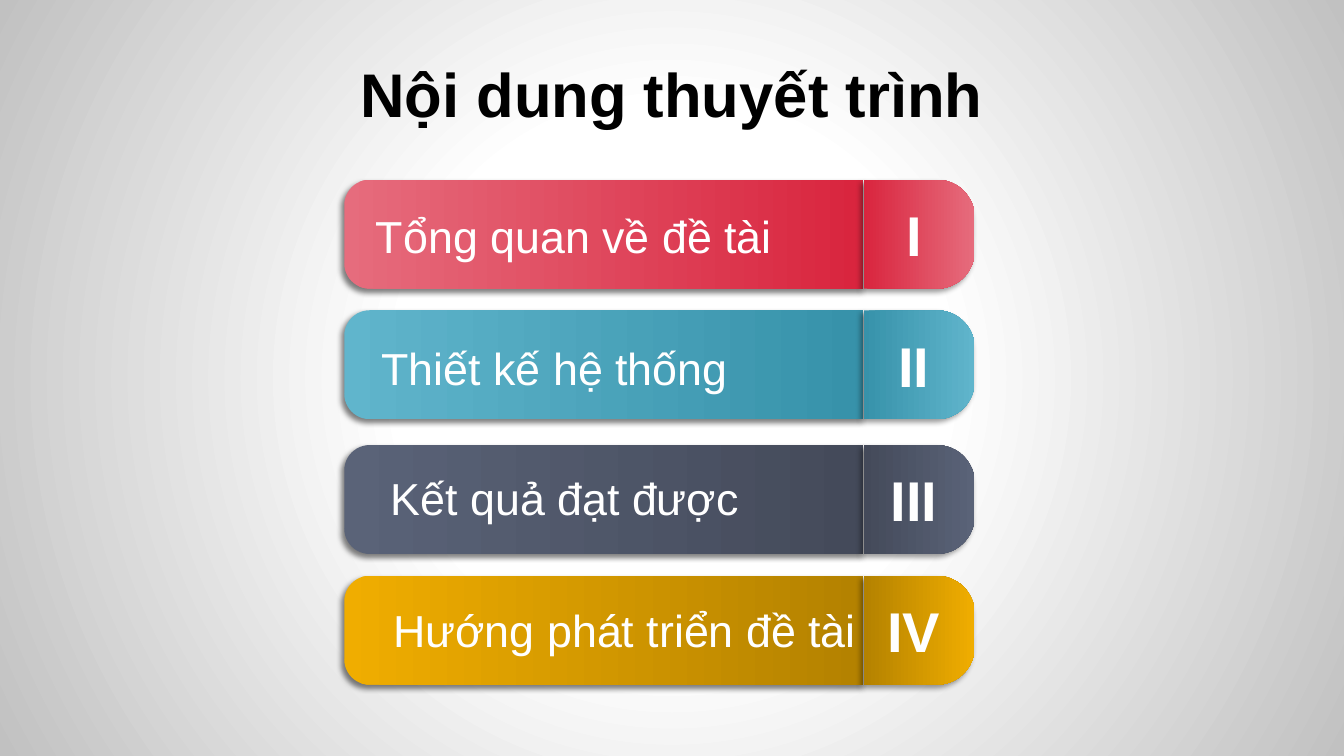
import pptx
import pptx.util
import pptx.dml.color
import pptx.enum.shapes
import pptx.enum.text
import pptx.oxml
import pptx.oxml.ns

Pt = pptx.util.Pt
NS = pptx.oxml.ns.nsdecls("a")
COLORS = {
    "white": "FFFFFF", "black": "000000", "edge": "C1C1C1",
    "red": "E66C7D", "red dark": "D9253E",
    "teal": "60B5CC", "teal dark": "3792AA",
    "slate": "5A6378", "slate dark": "444A5A",
    "gold": "F0AD00", "gold dark": "B48200",
}


def add_text(s, text, x, y, w, h, size, color, bold=False, wrap=True, middle=True):
    tf = s.shapes.add_textbox(Pt(x), Pt(y), Pt(w), Pt(h)).text_frame
    tf.word_wrap = wrap
    anchor = pptx.enum.text.MSO_ANCHOR
    tf.vertical_anchor = anchor.MIDDLE if middle else anchor.TOP
    p = tf.paragraphs[0]
    p.text = text
    p.alignment = pptx.enum.text.PP_ALIGN.CENTER
    r = p.runs[0]
    r.font.name = "Arial"
    r.font.size = Pt(size)
    r.font.bold = bold
    r.font.color.rgb = pptx.dml.color.RGBColor.from_string(COLORS[color])


def set_gradient(fill, stops, angle=0):
    fill.gradient()
    fill.gradient_angle = angle
    for stop, (position, color) in zip(fill.gradient_stops, stops):
        stop.position = position
        stop.color.rgb = pptx.dml.color.RGBColor.from_string(COLORS[color])


prs = pptx.Presentation()
prs.slide_width, prs.slide_height = Pt(960), Pt(540)
s = prs.slides.add_slide(prs.slide_layouts[6])

# Background: white centre fading to grey
set_gradient(s.background.fill, [(0.35, "white"), (1, "edge")])
lin = next(s._element.iter(pptx.oxml.ns.qn("a:lin")))
lin.getparent().replace(lin, pptx.oxml.parse_xml(
    f'<a:path {NS} path="circle"><a:fillToRect l="50000" t="50000" '
    'r="50000" b="50000"/></a:path>'))

# Title
add_text(s, "Nội dung thuyết trình", 48, 21.6, 864, 90, 44, "black", bold=True)

# Agenda rows: numeral, colour, row centre, label, label left, top, width
rows = [
    ("I", "red", 167.3, "Tổng quan về đề tài", 261.4, 145.4, 297.4),
    ("II", "teal", 260.5, "Thiết kế hệ thống", 247.7, 239.8, 297.4),
    ("III", "slate", 356.8, "Kết quả đạt được", 254.9, 332.6, 297.4),
    ("IV", "gold", 450.2, "Hướng phát triển đề tài", 270.7, 427, 351.4),
]
BAR_H = 77.8
for numeral, color, cy, label, x, y, w in rows:
    dark = color + " dark"
    # Long bar, then end cap: centre, length, turn, corner, stops, angle, shadow
    parts = [
        (431.3, 370.8, 270, 0.233, [(0, color), (0.99, dark)], 270, 50),
        (656.6, 79.2, 90, 0.347, [(0, dark), (1, color)], 90, 40),
    ]
    for cx, length, turn, corner, stops, angle, alpha in parts:
        sp = s.shapes.add_shape(
            pptx.enum.shapes.MSO_SHAPE.ROUND_2_SAME_RECTANGLE,
            Pt(cx - BAR_H / 2), Pt(cy - length / 2), Pt(BAR_H), Pt(length))
        sp.rotation = turn
        # Both ends of the long bar's outer side share one corner radius
        sp.adjustments[0] = corner
        sp.adjustments[1] = 0
        set_gradient(sp.fill, stops, angle)
        sp.line.fill.background()
        sp.shadow.inherit = False
        effects = sp._element.spPr.find(pptx.oxml.ns.qn("a:effectLst"))
        effects.append(pptx.oxml.parse_xml(
            f'<a:outerShdw {NS} blurRad="{Pt(4)}" dist="{Pt(3)}" dir="8100000" '
            f'rotWithShape="0"><a:srgbClr val="{COLORS["black"]}">'
            f'<a:alpha val="{alpha * 1000}"/></a:srgbClr></a:outerShdw>'))
    add_text(s, numeral, 626.8, cy - 27.7, 52, 55.4, 40, "white", bold=True, wrap=False)
    add_text(s, label, x, y, w, 46, 32, "white", middle=False)

prs.save("out.pptx")
